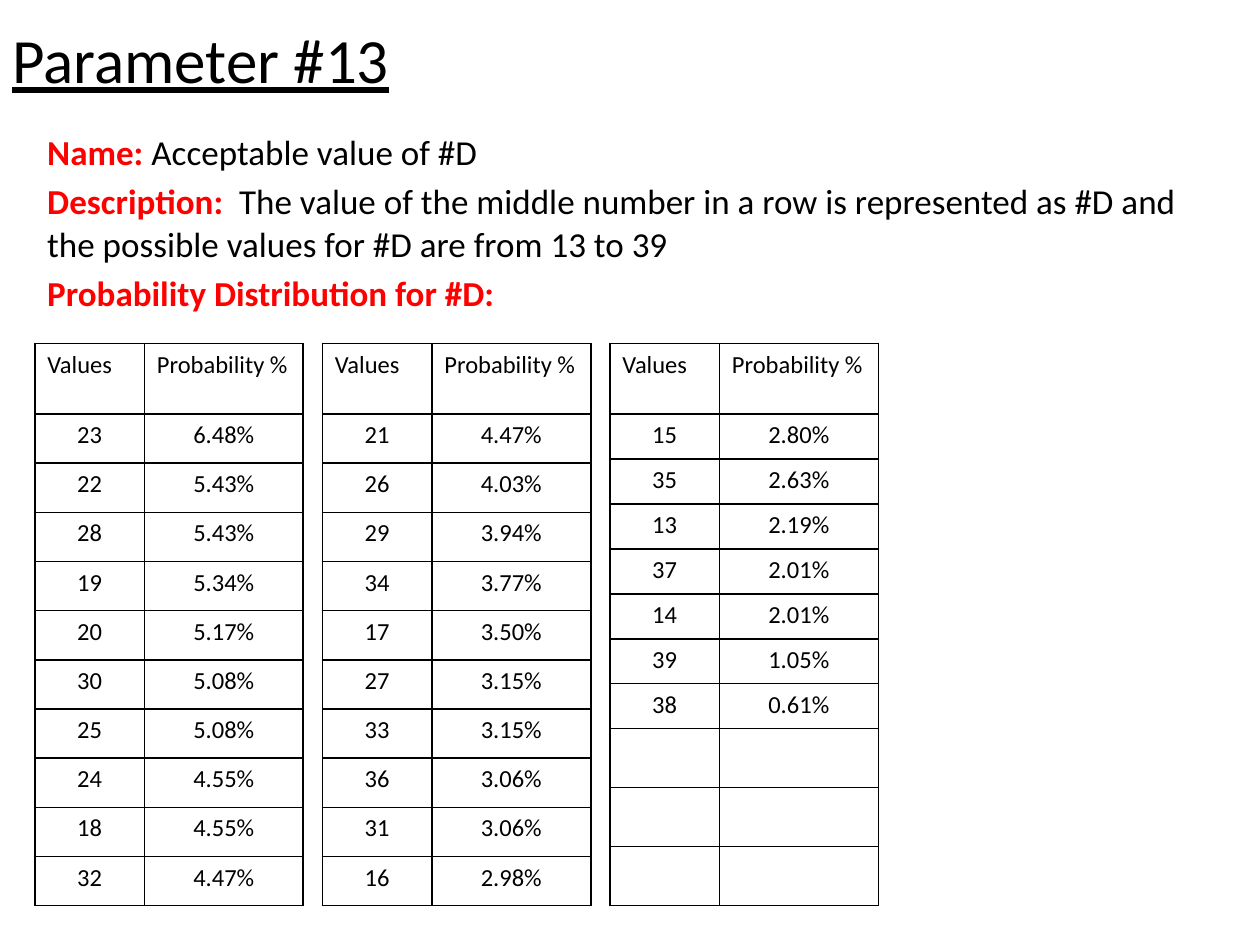
from dataclasses import dataclass

from lxml.etree import SubElement
from pptx import Presentation
from pptx.dml.color import RGBColor
from pptx.enum.text import MSO_ANCHOR, PP_ALIGN
from pptx.oxml.ns import qn
from pptx.util import Pt


@dataclass(frozen=True)
class Theme:
    font: str = "Calibri"
    ink: str = "000000"
    accent: str = "FF0000"
    title: float = 36
    body: float = 20
    cell: float = 14
    border: float = 0.96


@dataclass(frozen=True)
class Entry:
    label: str
    text: str = ""


@dataclass(frozen=True)
class Distribution:
    rows: tuple[tuple[str, str], ...]
    heights: tuple[float, ...]


THEME = Theme()
HEADER = ("Values", "Probability %")
HEADER_HEIGHT = 40.2
COL_WIDTHS = (62.6, 90.8)
TABLE_LEFT, TABLE_TOP, TABLE_PITCH = 19.9, 196.4, 164.3

ENTRIES = (
    Entry("Name: ", "Acceptable value of #D"),
    Entry("Description:  ", "The value of the middle number in a row is represented as #D "
          "and the possible values for #D are from 13 to 39"),
    Entry("Probability Distribution for #D:"),
)

DISTRIBUTIONS = (
    Distribution(
        (("23", "6.48%"), ("22", "5.43%"), ("28", "5.43%"), ("19", "5.34%"), ("20", "5.17%"),
         ("30", "5.08%"), ("25", "5.08%"), ("24", "4.55%"), ("18", "4.55%"), ("32", "4.47%")),
        (28.1,) * 10),
    Distribution(
        (("21", "4.47%"), ("26", "4.03%"), ("29", "3.94%"), ("34", "3.77%"), ("17", "3.50%"),
         ("27", "3.15%"), ("33", "3.15%"), ("36", "3.06%"), ("31", "3.06%"), ("16", "2.98%")),
        (28.1,) * 10),
    Distribution(
        (("15", "2.80%"), ("35", "2.63%"), ("13", "2.19%"), ("37", "2.01%"), ("14", "2.01%"),
         ("39", "1.05%"), ("38", "0.61%")) + (("", ""),) * 3,
        (25.7,) * 7 + (33.7,) * 3),
)


def add_run(p, text: str, size: float, color: str, bold: bool = False, underline: bool = False) -> None:
    r = p.add_run()
    r.text = text
    r.font.name = THEME.font
    r.font.size = Pt(size)
    r.font.bold = bold
    r.font.underline = underline
    r.font.color.rgb = RGBColor.from_string(color)


def add_text_frame(s, left: float, top: float, width: float, height: float):
    tf = s.shapes.add_textbox(Pt(left), Pt(top), Pt(width), Pt(height)).text_frame
    tf.word_wrap = True
    return tf


def add_title(s, text: str) -> None:
    tf = add_text_frame(s, 0, 0, 648, 67)
    tf.vertical_anchor = MSO_ANCHOR.MIDDLE
    add_run(tf.paragraphs[0], text, THEME.title, THEME.ink, underline=True)


def add_entries(s, entries: tuple[Entry, ...]) -> None:
    tf = add_text_frame(s, 19.9, 71.3, 686, 356)
    for i, entry in enumerate(entries):
        p = tf.add_paragraph() if i else tf.paragraphs[0]
        if i:
            p.space_before = Pt(4)
        add_run(p, entry.label, THEME.body, THEME.accent, bold=True)
        if entry.text:
            add_run(p, entry.text, THEME.body, THEME.ink)


def set_borders(cell) -> None:
    tc_pr = cell._tc.get_or_add_tcPr()
    for side in ("a:lnL", "a:lnR", "a:lnT", "a:lnB"):
        ln = SubElement(tc_pr, qn(side), w=str(Pt(THEME.border)))
        fill = SubElement(ln, qn("a:solidFill"))
        SubElement(fill, qn("a:srgbClr"), val=THEME.ink)


def fill_cell(cell, text: str, is_header: bool) -> None:
    set_borders(cell)
    cell.fill.background()
    p = cell.text_frame.paragraphs[0]
    if not is_header:
        p.alignment = PP_ALIGN.CENTER
        cell.margin_left = cell.margin_right = Pt(0.7)
    if text:
        add_run(p, text, THEME.cell, THEME.ink)
    else:
        p.font.size = Pt(THEME.cell)


def add_distribution(s, dist: Distribution, left: float) -> None:
    rows = (HEADER,) + dist.rows
    heights = (HEADER_HEIGHT,) + dist.heights
    table = s.shapes.add_table(len(rows), len(HEADER), Pt(left), Pt(TABLE_TOP),
                               Pt(sum(COL_WIDTHS)), Pt(sum(heights))).table
    table.first_row = table.horz_banding = False
    for column, width in zip(table.columns, COL_WIDTHS):
        column.width = Pt(width)
    for i, (values, height) in enumerate(zip(rows, heights)):
        table.rows[i].height = Pt(height)
        for j, text in enumerate(values):
            fill_cell(table.cell(i, j), text, is_header=i == 0)


def main() -> None:
    prs = Presentation()
    prs.slide_width, prs.slide_height = Pt(720), Pt(540)
    s = prs.slides.add_slide(prs.slide_layouts[6])
    add_title(s, "Parameter #13")
    add_entries(s, ENTRIES)
    for i, dist in enumerate(DISTRIBUTIONS):
        add_distribution(s, dist, TABLE_LEFT + i * TABLE_PITCH)
    prs.save("out.pptx")


if __name__ == "__main__":
    main()
